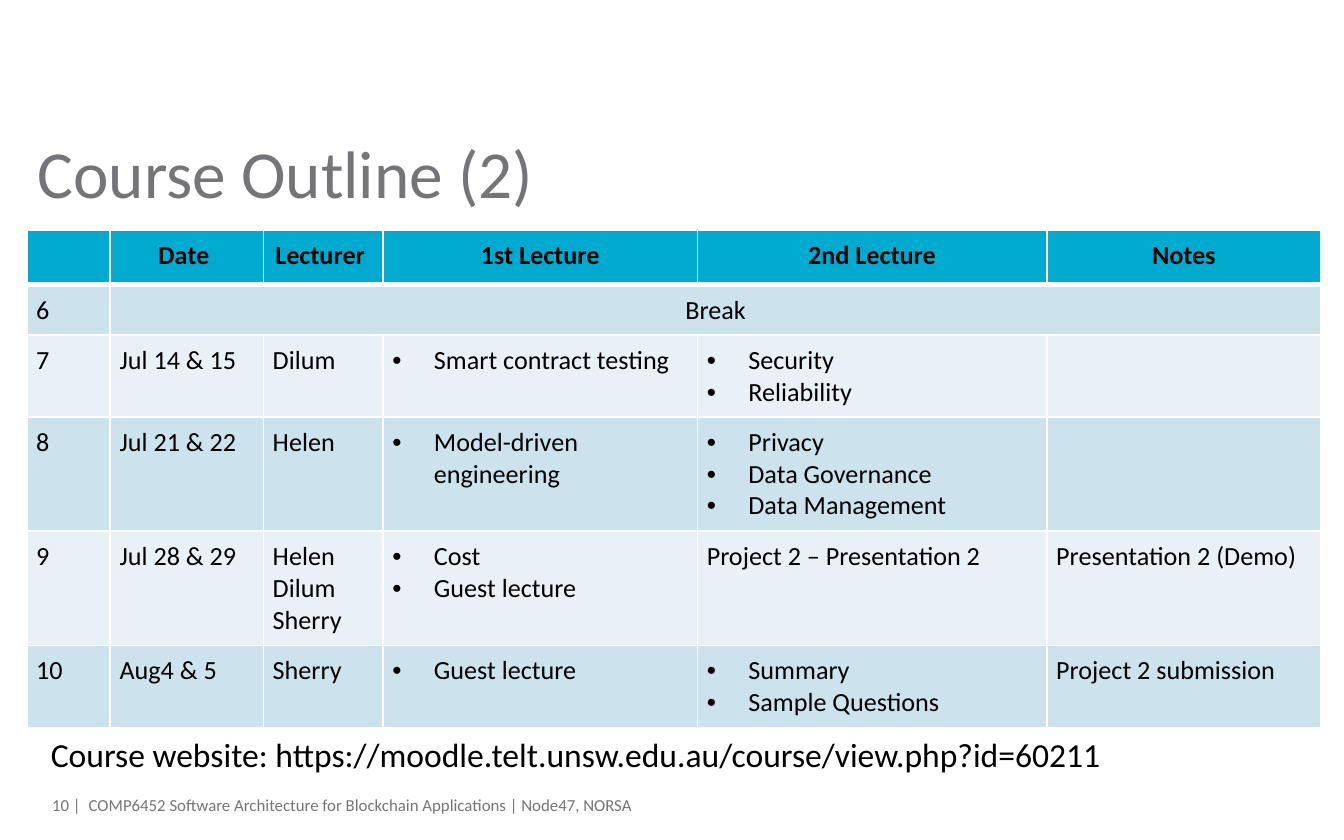
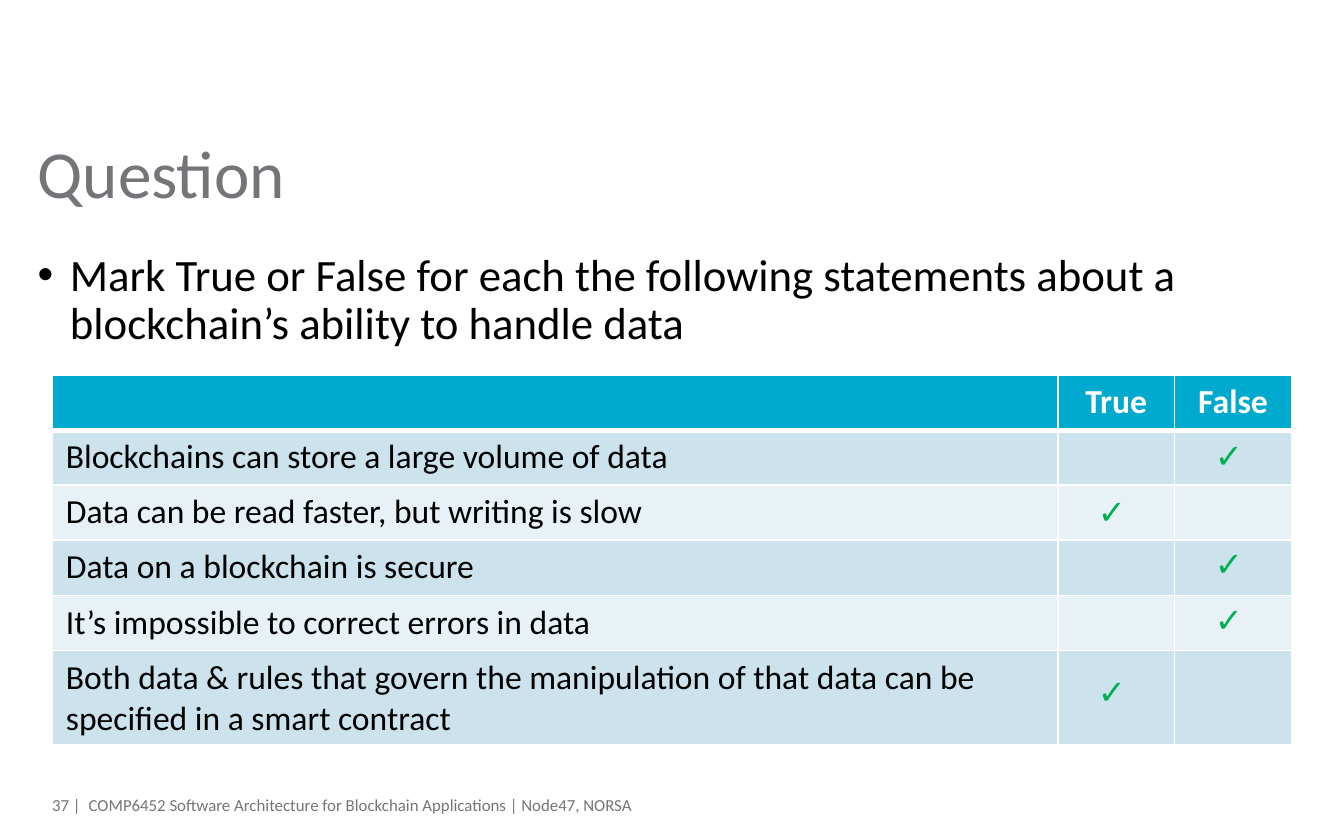
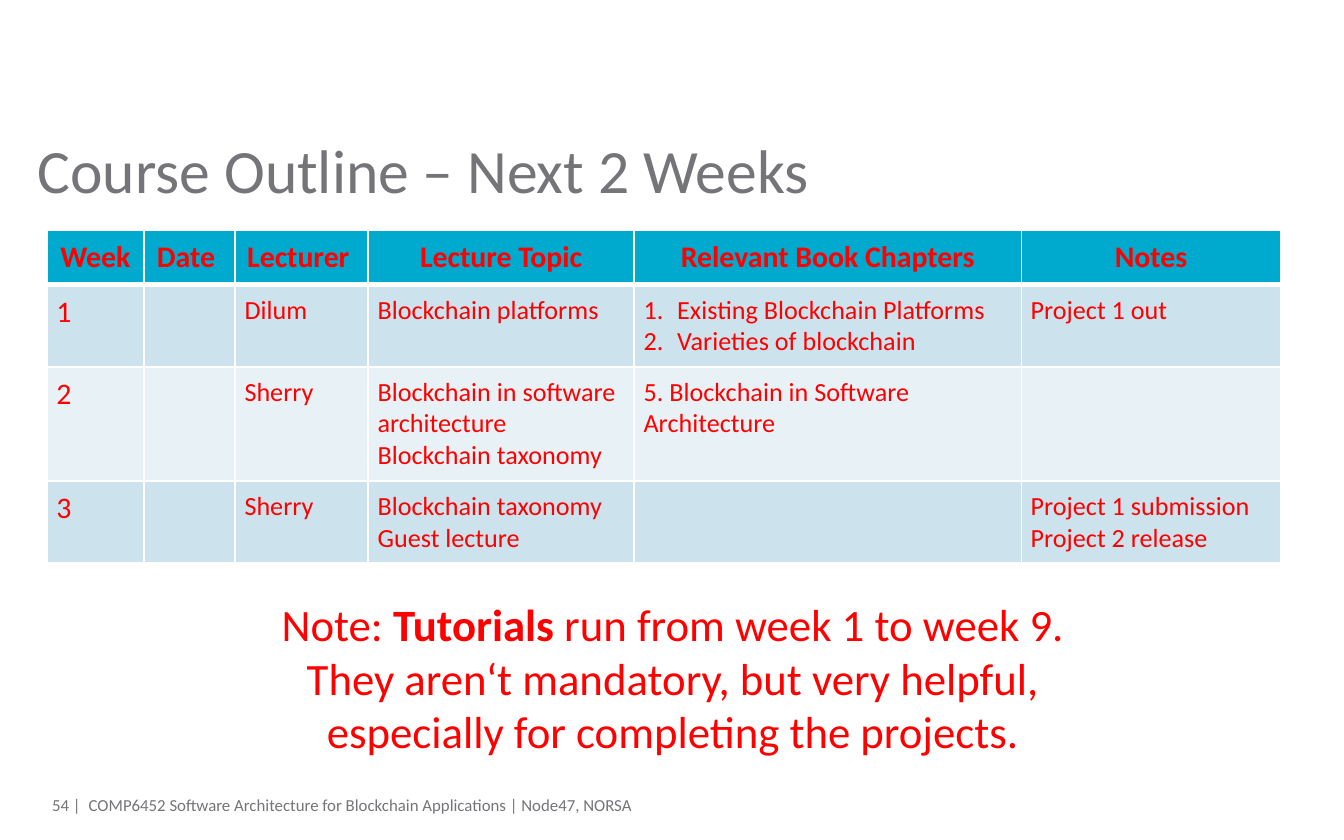
from lxml import etree
from pptx import Presentation
from pptx.dml.color import RGBColor
from pptx.enum.text import MSO_ANCHOR, MSO_AUTO_SIZE, PP_ALIGN
from pptx.oxml.ns import qn
from pptx.util import Inches, Pt

LEFT, CENTER, RIGHT = PP_ALIGN.LEFT, PP_ALIGN.CENTER, PP_ALIGN.RIGHT
TOP, MIDDLE = MSO_ANCHOR.TOP, MSO_ANCHOR.MIDDLE
NO_FIT = MSO_AUTO_SIZE.NONE

COLORS = {
    "grey": "757579",
    "black": "000000",
    "white": "FFFFFF",
    "red": "FF0000",
    "green": "00B050",
    "header": "00A9CE",
    "dark_band": "CCE2ED",
    "light_band": "E7F1F6",
}
FOOTER = "COMP6452 Software Architecture for Blockchain Applications | Node47, NORSA"


def write(frame, text, size, color, bold=False, align=LEFT, inset=None, indent=0.31, font="Calibri"):
    if inset is not None:
        frame.margin_left = frame.margin_right = Inches(inset)
        frame.margin_top = frame.margin_bottom = Inches(inset)
    for index, line in enumerate(text.split("\n")):
        para = frame.add_paragraph() if index else frame.paragraphs[0]
        para.text = line.lstrip("•#")
        para.alignment = align
        para.space_before = Pt(0)
        if line[0] in "•#":
            properties = para._p.get_or_add_pPr()
            properties.set("marL", str(Inches(indent)))
            properties.set("indent", str(-Inches(indent)))
            if line[0] == "•":
                etree.SubElement(properties, qn("a:buFont"), typeface="Arial")
                etree.SubElement(properties, qn("a:buChar"), char="•")
            else:
                etree.SubElement(properties, qn("a:buAutoNum"), type="arabicPeriod")
        for span in para.runs:
            span.font.name = font
            span.font.size = Pt(size)
            span.font.bold = bold
            span.font.color.rgb = RGBColor.from_string(COLORS[color])


def add_grid(page, left, top, widths, heights, rows, sizes, header_color, body_color, inset=None, indent=0.31):
    header_size, first_size, body_size = sizes
    grid = page.shapes.add_table(len(rows), len(widths), Inches(left), Inches(top),
                                 Inches(sum(widths)), Inches(sum(heights))).table
    for column, width in zip(grid.columns, widths):
        column.width = Inches(width)
    for r, (row, height) in enumerate(zip(rows, heights)):
        grid.rows[r].height = Inches(height)
        band = "header" if r == 0 else "dark_band" if r % 2 else "light_band"
        for c, text in enumerate(row):
            cell = grid.cell(r, c)
            cell.fill.solid()
            cell.fill.fore_color.rgb = RGBColor.from_string(COLORS[band])
            for position, side in enumerate(("lnL", "lnR", "lnT", "lnB")):
                thick = (r == 0 and side == "lnB") or (r == 1 and side == "lnT")
                border = etree.Element(qn("a:" + side), w=str(Pt(3 if thick else 1)))
                fill = etree.SubElement(border, qn("a:solidFill"))
                etree.SubElement(fill, qn("a:srgbClr"), val=COLORS["white"])
                cell._tc.tcPr.insert(position, border)
            if text:
                if inset is not None:
                    cell.margin_left = cell.margin_right = Inches(inset)
                    cell.margin_top = cell.margin_bottom = Inches(inset)
                if r == 0:
                    write(cell.text_frame, text, header_size, header_color, bold=True, align=CENTER)
                else:
                    size = body_size if c else first_size
                    write(cell.text_frame, text, size, body_color, indent=indent)
    return grid


deck = Presentation()
deck.slide_width = Inches(10)
deck.slide_height = Inches(6.25)

pages = []
for title, title_size, number, layout in (
    ("Course Outline (2)", 36, 10, 5),
    ("Question", 36, 37, 1),
    ("Course Outline – Next 2 Weeks", 33, 54, 5),
):
    page = deck.slides.add_slide(deck.slide_layouts[layout])
    heading = page.shapes.title
    heading.left, heading.top = Inches(0.28), Inches(0.98)
    heading.width, heading.height = Inches(9.45), Inches(0.78)
    heading.text_frame.auto_size = NO_FIT
    heading.text_frame.vertical_anchor = TOP
    write(heading.text_frame, title, title_size, "grey", inset=0)
    for text, left, width, align in (
        (FOOTER, 0.66, 6.65, LEFT),
        (f"{number} |", 0.28, 0.32, RIGHT),
    ):
        box = page.shapes.add_textbox(Inches(left), Inches(5.93), Inches(width), Inches(0.12))
        box.text_frame.word_wrap = True
        box.text_frame.vertical_anchor = MIDDLE
        write(box.text_frame, text, 9, "grey", align=align, inset=0)
    pages.append(page)
outline_page, question_page, weeks_page = pages

outline_rows = [
    ["", "Date ", "Lecturer ", "1st Lecture", "2nd Lecture", "Notes"],
    ["6", "Break", "", "", "", ""],
    ["7", "Jul 14 & 15", "Dilum", "•Smart contract testing", "•Security\n•Reliability", ""],
    ["8", "Jul 21 & 22", "Helen", "•Model-driven engineering",
     "•Privacy\n•Data Governance\n•Data Management", ""],
    ["9", "Jul 28 & 29", "Helen\nDilum\nSherry", "•Cost\n•Guest lecture",
     "Project 2 – Presentation 2", "Presentation 2 (Demo)"],
    ["10", "Aug4 & 5", "Sherry", "•Guest lecture", "•Summary\n•Sample Questions",
     "Project 2 submission"],
]
outline = add_grid(outline_page, 0.2, 1.71, [0.62, 1.14, 0.89, 2.34, 2.6, 2.04],
                   [0.41, 0.37, 0.61, 0.85, 0.85, 0.61], outline_rows,
                   (14, 14, 14), "black", "black", inset=0.07)
outline.cell(1, 1).merge(outline.cell(1, 5))
outline.cell(1, 1).text_frame.paragraphs[0].alignment = CENTER

website = outline_page.shapes.add_textbox(Inches(0.28), Inches(5.41), Inches(9.53), Inches(0.4))
website.text_frame.word_wrap = True
write(website.text_frame, "Course website: https://moodle.telt.unsw.edu.au/course/view.php?id=60211",
      18, "black")

prompt = question_page.placeholders[1]
prompt.left, prompt.top = Inches(0.28), Inches(1.88)
prompt.width, prompt.height = Inches(9.45), Inches(0.78)
prompt.text_frame.auto_size = NO_FIT
write(prompt.text_frame,
      "•Mark True or False for each the following statements about a blockchain’s ability to handle data",
      24, "black", inset=0, indent=0.24)
prompt.text_frame.paragraphs[0].line_spacing = 0.9

statements = [
    "Blockchains can store a large volume of data",
    "Data can be read faster, but writing is slow",
    "Data on a blockchain is secure",
    "It’s impossible to correct errors in data",
    "Both data & rules that govern the manipulation of that data can be specified in a smart contract",
]
question_rows = [["", "True", "False"]] + [[statement, "", ""] for statement in statements]
add_grid(question_page, 0.39, 2.79, [7.48, 0.87, 0.87], [0.41] * 5 + [0.7], question_rows,
         (18, 18, 18), "white", "black")

true_left, false_left = 8.07, 8.94
for left, top in ((false_left, 3.19), (true_left, 3.6), (false_left, 3.99),
                  (false_left, 4.41), (true_left, 4.94)):
    tick = question_page.shapes.add_textbox(Inches(left), Inches(top), Inches(0.39), Inches(0.4))
    tick.text_frame.word_wrap = False
    write(tick.text_frame, "✓", 18, "green", bold=True, align=CENTER, font="Roboto")

weeks_rows = [
    ["Week", "Date ", "Lecturer ", "Lecture Topic", "Relevant Book Chapters", "Notes"],
    ["1", "", "Dilum", "Blockchain platforms",
     "#Existing Blockchain Platforms\n#Varieties of blockchain", "Project 1 out"],
    ["2", "", "Sherry", "Blockchain in software architecture\nBlockchain taxonomy",
     "5. Blockchain in Software Architecture", ""],
    ["3", "", "Sherry", "Blockchain taxonomy\nGuest lecture", "",
     "Project 1 submission\nProject 2 release"],
]
add_grid(weeks_page, 0.35, 1.71, [0.72, 0.68, 0.99, 1.98, 2.88, 1.93], [0.41, 0.61, 0.85, 0.61],
         weeks_rows, (16, 16, 14), "red", "red", inset=0.07, indent=0.25)

note = weeks_page.shapes.add_textbox(Inches(1.76), Inches(4.39), Inches(6.49), Inches(1.31))
note.text_frame.word_wrap = True
write(note.text_frame,
      "Note: \nThey aren‘t mandatory, but very helpful, especially for completing the projects.",
      24, "red", align=CENTER)
for text, bold in (("Tutorials", True), (" run from week 1 to week 9.", False)):
    span = note.text_frame.paragraphs[0].add_run()
    span.text = text
    span.font.name = "Calibri"
    span.font.size = Pt(24)
    span.font.bold = bold
    span.font.color.rgb = RGBColor.from_string(COLORS["red"])

deck.save("out.pptx")
